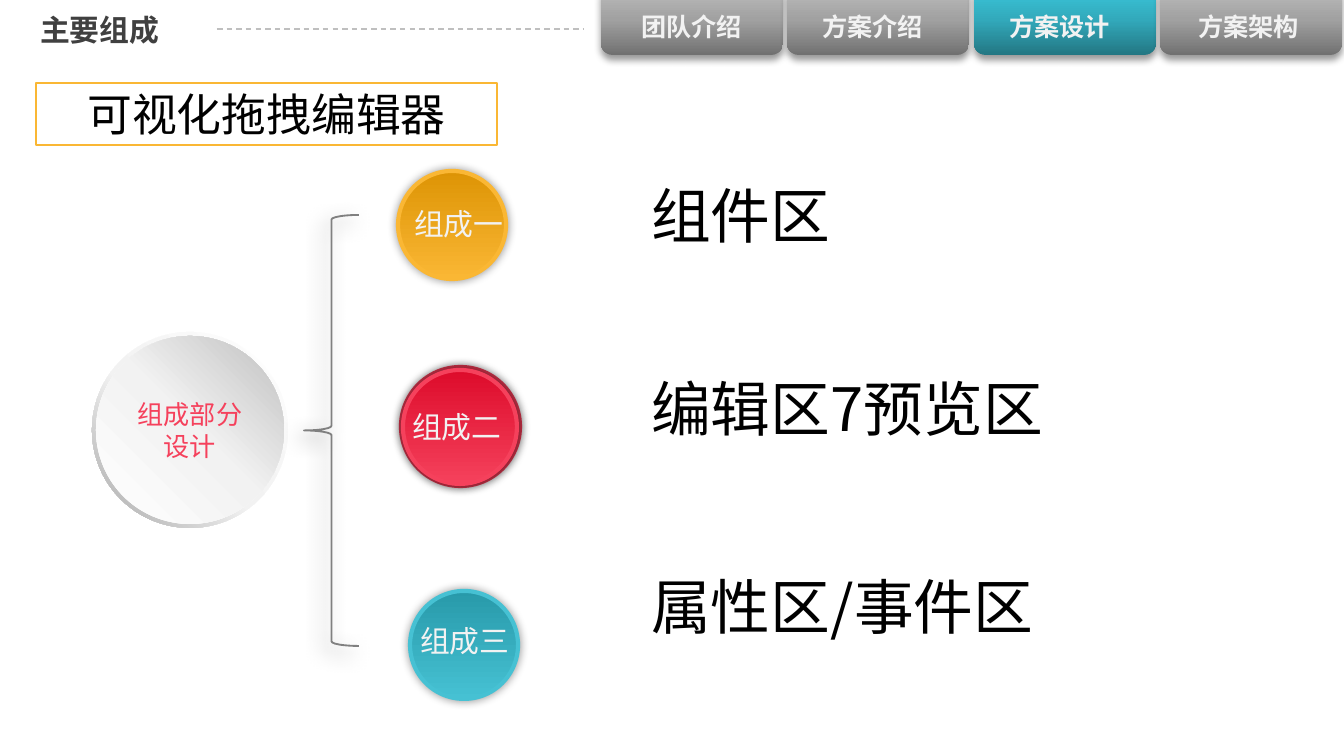
from dataclasses import dataclass

from lxml.etree import SubElement
from pptx import Presentation
from pptx.dml.color import RGBColor
from pptx.enum.dml import MSO_LINE
from pptx.enum.shapes import MSO_CONNECTOR, MSO_SHAPE
from pptx.enum.text import MSO_ANCHOR, PP_ALIGN
from pptx.oxml.ns import qn
from pptx.util import Emu, Pt

EMU_PER_PX = 914400 / 134.4


@dataclass(frozen=True)
class Theme:
    font: str = "Noto Sans CJK SC"
    banner_font: str = "Calibri"
    black: str = "000000"
    white: str = "FFFFFF"
    title: str = "404040"
    label: str = "F2F2F2"
    dash: str = "BFBFBF"
    brace: str = "808080"
    gold: str = "FAB734"
    gold_dark: str = "DD9405"
    red: str = "F5415C"
    red_dark: str = "DD0C2B"
    red_rim: str = "C22F45"
    teal: str = "46C1D3"
    teal_dark: str = "289AAA"
    tab: tuple = ((0, "717171"), (50, "A1A1A1"), (100, "BFBFBF"))
    tab_active: tuple = ((0, "237783"), (50, "32A9BB"), (100, "3BC9DE"))
    hub_rim: tuple = ((0, "FFFFFF"), (55, "F2F2F2"), (100, "A6A6A6"))
    hub: tuple = ((0, "FFFFFF"), (51, "F2F2F2"), (100, "BFBFBF"))
    tab_size: float = 13.5
    hub_size: float = 14
    small: float = 16
    banner: float = 24
    large: float = 32


T = Theme()


@dataclass(frozen=True)
class Box:
    x: int
    y: int
    w: int
    h: int


@dataclass(frozen=True)
class Shadow:
    opacity: int
    blur: int
    distance: int
    angle: int


@dataclass(frozen=True)
class Tab:
    text: str
    label_x: int
    active: bool = False


@dataclass(frozen=True)
class Part:
    label: str
    label_box: Box
    ball: Box
    dark: str
    light: str
    area: str
    area_box: Box
    wrap: bool = True


TABS = (
    Tab("团队介绍", 628),
    Tab("方案介绍", 809),
    Tab("方案设计", 996, active=True),
    Tab("方案架构", 1185),
)
PARTS = (
    Part("组成一", Box(401, 199, 151, 50), Box(398, 171, 108, 108),
         T.gold_dark, T.gold, "组件区", Box(638, 172, 206, 86), wrap=False),
    Part("组成二", Box(399, 402, 151, 50), Box(403, 370, 114, 114),
         T.red_dark, T.red, "编辑区7预览区", Box(638, 365, 594, 86)),
    Part("组成三", Box(407, 616, 151, 50), Box(410, 591, 108, 108),
         T.teal_dark, T.teal, "属性区/事件区", Box(638, 563, 594, 86)),
)
TAB_SHADOW = Shadow(40, 4, 3, 90)
BALL_SHADOW = Shadow(40, 5, 0, 0)
BRACE_SHADOW = Shadow(50, 11, 5, 135)


def px(n: float) -> Emu:
    return Emu(round(n * EMU_PER_PX))


def rgb(value: str) -> RGBColor:
    return RGBColor.from_string(value)


def place(box: Box) -> tuple:
    return px(box.x), px(box.y), px(box.w), px(box.h)


def add_gradient(s, stops: tuple, angle: int) -> None:
    """Fill with (percent, colour) stops along a clockwise angle."""
    s.fill.gradient()
    s.fill.gradient_angle = (360 - angle) % 360
    gs_list = s._element.spPr.find(qn("a:gradFill")).find(qn("a:gsLst"))
    for gs in list(gs_list):
        gs_list.remove(gs)
    for percent, color in stops:
        gs = SubElement(gs_list, qn("a:gs"), pos=str(percent * 1000))
        SubElement(gs, qn("a:srgbClr"), val=color)


def add_shadow(s, shadow: Shadow) -> None:
    effects = s._element.spPr.find(qn("a:effectLst"))
    outer = SubElement(effects, qn("a:outerShdw"), blurRad=str(Pt(shadow.blur)),
                       dist=str(Pt(shadow.distance)), dir=str(shadow.angle * 60000),
                       rotWithShape="0")
    color = SubElement(outer, qn("a:srgbClr"), val=T.black)
    SubElement(color, qn("a:alpha"), val=str(shadow.opacity * 1000))


def add_shape(slide, kind: MSO_SHAPE, box: Box, stops: tuple = (), angle: int = 90,
              line: str = "", width: float = 1, shadow: Shadow | None = None):
    """Add a preset shape; without stops it has no fill, without line no outline."""
    s = slide.shapes.add_shape(kind, *place(box))
    s.shadow.inherit = False
    if stops:
        add_gradient(s, stops, angle)
    else:
        s.fill.background()
    if line:
        s.line.color.rgb = rgb(line)
        s.line.width = Pt(width)
    else:
        s.line.fill.background()
    if shadow:
        add_shadow(s, shadow)
    return s


def write(s, text: str, size: float, color: str, bold: bool = False,
          font: str = T.font, align: PP_ALIGN = PP_ALIGN.LEFT,
          anchor: MSO_ANCHOR = MSO_ANCHOR.TOP, wrap: bool = True) -> None:
    tf = s.text_frame
    tf.word_wrap = wrap
    tf.vertical_anchor = anchor
    p = tf.paragraphs[0]
    p.text = text
    p.alignment = align
    p.font.name = font
    p.font.size = Pt(size)
    p.font.bold = bold
    p.font.color.rgb = rgb(color)
    SubElement(p.font._element, qn("a:ea"), typeface=font)


def add_text(slide, box: Box, text: str, size: float, color: str, **style) -> None:
    write(slide.shapes.add_textbox(*place(box)), text, size, color, **style)


def add_header(slide) -> None:
    for i, tab in enumerate(TABS):
        add_shape(slide, MSO_SHAPE.ROUNDED_RECTANGLE,
                  Box(601 + round(i * 186.4), -16, 182, 71),
                  T.tab_active if tab.active else T.tab, 270, shadow=TAB_SHADOW)
        add_text(slide, Box(tab.label_x, 5, 128, 44), tab.text, T.tab_size, T.label,
                 bold=True, wrap=False)
    rule = slide.shapes.add_connector(MSO_CONNECTOR.STRAIGHT, px(217), px(29), px(584), px(29))
    rule.line.color.rgb = rgb(T.dash)
    rule.line.width = Pt(0.75)
    rule.line.dash_style = MSO_LINE.DASH
    SubElement(rule._element.spPr, qn("a:effectLst"))
    add_text(slide, Box(27, 12, 1158, 36), "主要组成", T.small, T.title, bold=True,
             anchor=MSO_ANCHOR.MIDDLE)


def add_hub(slide) -> None:
    rim = add_shape(slide, MSO_SHAPE.DONUT, Box(92, 332, 196, 196), T.hub_rim, 135)
    rim.adjustments[0] = 0.05
    hub = add_shape(slide, MSO_SHAPE.OVAL, Box(96, 336, 188, 188), T.hub, 315)
    write(hub, "组成部分设计", T.hub_size, T.red, align=PP_ALIGN.CENTER,
          anchor=MSO_ANCHOR.MIDDLE)
    add_shape(slide, MSO_SHAPE.LEFT_BRACE, Box(304, 215, 55, 431), line=T.brace,
              shadow=BRACE_SHADOW)


def add_part(slide, part: Part) -> None:
    add_shape(slide, MSO_SHAPE.OVAL, part.ball, ((0, part.dark), (100, part.light)),
              line=part.light, width=2.25, shadow=BALL_SHADOW)
    add_text(slide, part.label_box, part.label, T.small, T.label)
    add_text(slide, part.area_box, part.area, T.large, T.black, wrap=part.wrap)


def main() -> None:
    prs = Presentation()
    prs.slide_width, prs.slide_height = px(1344), px(756)
    slide = prs.slides.add_slide(prs.slide_layouts[6])
    add_header(slide)
    add_hub(slide)
    red_rim = add_shape(slide, MSO_SHAPE.DONUT, Box(401, 367, 119, 119),
                        ((0, T.red_dark), (100, T.red)), line=T.red_rim, width=2.25,
                        shadow=BALL_SHADOW)
    red_rim.adjustments[0] = 0.05
    for part in PARTS:
        add_part(slide, part)
    banner = add_shape(slide, MSO_SHAPE.RECTANGLE, Box(36, 83, 461, 62), line=T.gold)
    banner.fill.solid()
    banner.fill.fore_color.rgb = rgb(T.white)
    write(banner, "可视化拖拽编辑器", T.banner, T.black, font=T.banner_font,
          align=PP_ALIGN.CENTER, anchor=MSO_ANCHOR.MIDDLE)
    prs.save("out.pptx")


if __name__ == "__main__":
    main()
